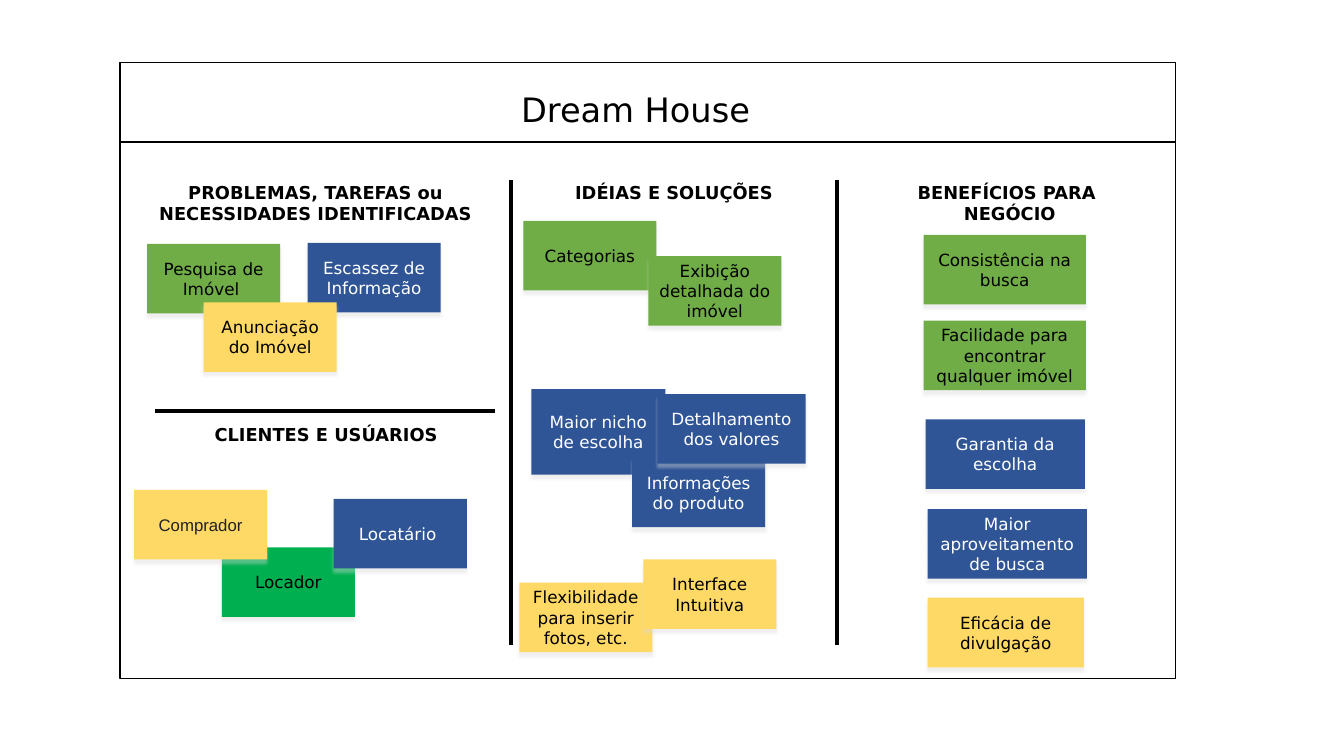
from pptx import Presentation
from pptx.dml.color import RGBColor
from pptx.enum.shapes import MSO_CONNECTOR as Conn, MSO_SHAPE as Shape
from pptx.enum.text import MSO_ANCHOR as Anchor, PP_ALIGN as Align
from pptx.oxml import parse_xml
from pptx.oxml.ns import nsdecls
from pptx.util import Inches, Pt

COLORS = {
    "black": "000000",
    "white": "FFFFFF",
    "ink": "202124",
    "green": "70AD47",
    "vivid": "00B050",
    "blue": "2F5597",
    "yellow": "FFD966",
    "shade": "D9D9D9",
}
FONT = "DejaVu Sans"
NOTE_W, NOTE_H = 1.32, 0.69

# Notes from back to front: text, colour, left, top and any special format
NOTES = [
    ("Pesquisa de Imóvel ", "green", 1.46, 2.42, {}),
    ("Escassez de Informação", "blue", 3.05, 2.41, {}),
    ("Anunciação do Imóvel", "yellow", 2.02, 3, {}),
    ("Locador", "vivid", 2.2, 5.43, {}),
    ("Locatário ", "blue", 3.31, 4.95, {}),
    ("Categorias", "green", 5.19, 2.19, {}),
    ("Exibição detalhada do imóvel", "green", 6.43, 2.54, {}),
    ("Maior nicho de escolha", "blue", 5.27, 3.86, {"width": 1.33, "height": 0.85}),
    ("Informações do produto", "blue", 6.27, 4.54, {}),
    ("Flexibilidade para inserir fotos, etc.", "yellow", 5.15, 5.78, {}),
    ("Interface Intuitiva", "yellow", 6.38, 5.55, {}),
    ("Consistência na busca", "green", 9.16, 2.33, {"width": 1.61}),
    ("Facilidade para encontrar qualquer imóvel", "green", 9.16, 3.18, {"width": 1.61}),
    ("Garantia da escolha", "blue", 9.18, 4.16, {"width": 1.58}),
    ("Maior aproveitamento de busca", "blue", 9.2, 5.05, {"width": 1.58}),
    ("Eficácia de divulgação", "yellow", 9.2, 5.93, {"width": 1.55}),
    ("Comprador", "yellow", 1.33, 4.86, {"font": "Arial", "color": "ink"}),
    ("Detalhamento dos valores", "blue", 6.52, 3.91, {"width": 1.47}),
]

# Headings: lines, left, top, width, height
HEADS = [
    (["PROBLEMAS, TAREFAS ou", "NECESSIDADES IDENTIFICADAS"], 1.4, 1.75, 3.46, 0.53),
    (["CLIENTES E USÚARIOS"], 1.98, 4.15, 2.51, 0.32),
    (["IDÉIAS E SOLUÇÕES"], 5.56, 1.75, 2.25, 0.32),
    (["BENEFÍCIOS PARA", " NEGÓCIO"], 8.42, 1.75, 3.13, 0.53),
]


def rgb(name):
    return RGBColor.from_string(COLORS[name])


def write(frame, lines, size=12, color="black", font=FONT, bold=False, align=Align.CENTER):
    for i, line in enumerate(lines):
        para = frame.add_paragraph() if i else frame.paragraphs[0]
        para.alignment = align
        run = para.add_run()
        run.text = line
        run.font.size = Pt(size)
        run.font.name = font
        run.font.bold = bold
        run.font.color.rgb = rgb(color)


def add_label(slide, lines, left, top, width, height, **style):
    box = slide.shapes.add_textbox(Inches(left), Inches(top), Inches(width), Inches(height))
    box.text_frame.word_wrap = False
    write(box.text_frame, lines, **style)


def add_rect(slide, left, top, width, height):
    rect = slide.shapes.add_shape(
        Shape.RECTANGLE, Inches(left), Inches(top), Inches(width), Inches(height))
    rect.shadow.inherit = False
    return rect


def add_frame(slide, top, height):
    rect = add_rect(slide, 1.19, top, 10.47, height)
    rect.fill.background()
    rect.line.color.rgb = rgb("black")
    rect.line.width = Pt(1)


def add_rule(slide, x1, y1, x2, y2):
    rule = slide.shapes.add_connector(
        Conn.STRAIGHT, Inches(x1), Inches(y1), Inches(x2), Inches(y2))
    rule.line.color.rgb = rgb("black")
    rule.line.width = Pt(3)
    rule._element.spPr.append(parse_xml(f"<a:effectLst {nsdecls('a')}/>"))


def add_shade(shape):
    props = shape._element.spPr
    props.remove(props.find("{*}effectLst"))
    props.append(parse_xml(
        f'<a:effectLst {nsdecls("a")}>'
        f'<a:outerShdw blurRad="{Pt(2)}" dist="{Pt(3)}" dir="5400000" rotWithShape="0">'
        f'<a:srgbClr val="{COLORS["shade"]}"><a:alpha val="40000"/></a:srgbClr>'
        '</a:outerShdw></a:effectLst>'))


def add_note(slide, text, fill, left, top, width=NOTE_W, height=NOTE_H, font=FONT, color=None):
    note = add_rect(slide, left, top, width, height)
    note.fill.solid()
    note.fill.fore_color.rgb = rgb(fill)
    note.line.fill.background()
    add_shade(note)
    frame = note.text_frame
    frame.word_wrap = True
    frame.vertical_anchor = Anchor.MIDDLE
    color = color or ("white" if fill == "blue" else "black")
    write(frame, [text], font=font, color=color)


def main():
    deck = Presentation()
    deck.slide_width, deck.slide_height = Inches(13.33), Inches(7.5)
    slide = deck.slides.add_slide(deck.slide_layouts[6])

    # Board and title
    add_frame(slide, 1.41, 5.32)
    add_label(slide, ["Dream House"], 5.07, 0.83, 2.5, 0.5, size=24, align=Align.LEFT)
    add_frame(slide, 0.62, 0.79)

    # Dividers
    for x in (5.07, 8.3):
        add_rule(slide, x, 1.79, x, 6.4)
    add_rule(slide, 1.54, 4.08, 4.91, 4.08)

    # Headings
    for head in HEADS:
        add_label(slide, *head, size=12.7, bold=True)

    # Sticky notes
    for text, fill, left, top, style in NOTES:
        add_note(slide, text, fill, left, top, **style)

    deck.save("out.pptx")


if __name__ == "__main__":
    main()
